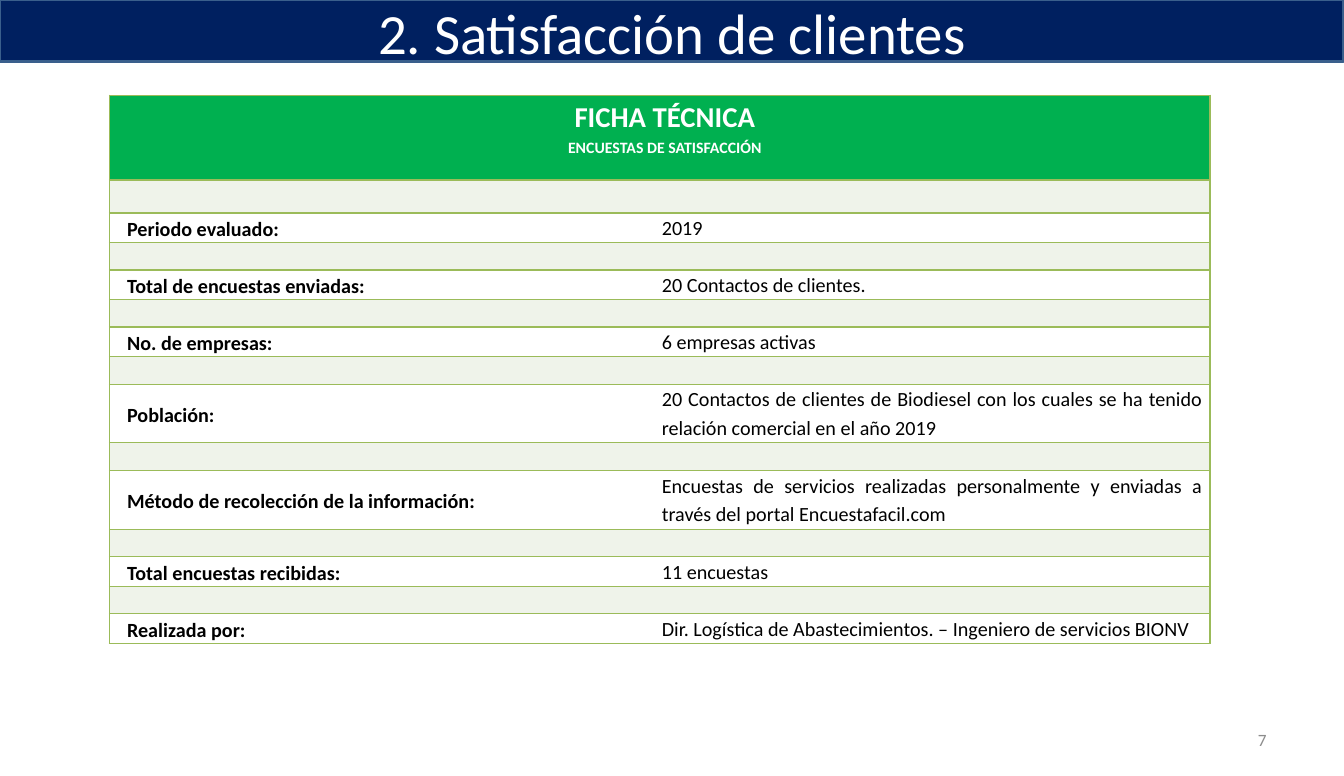
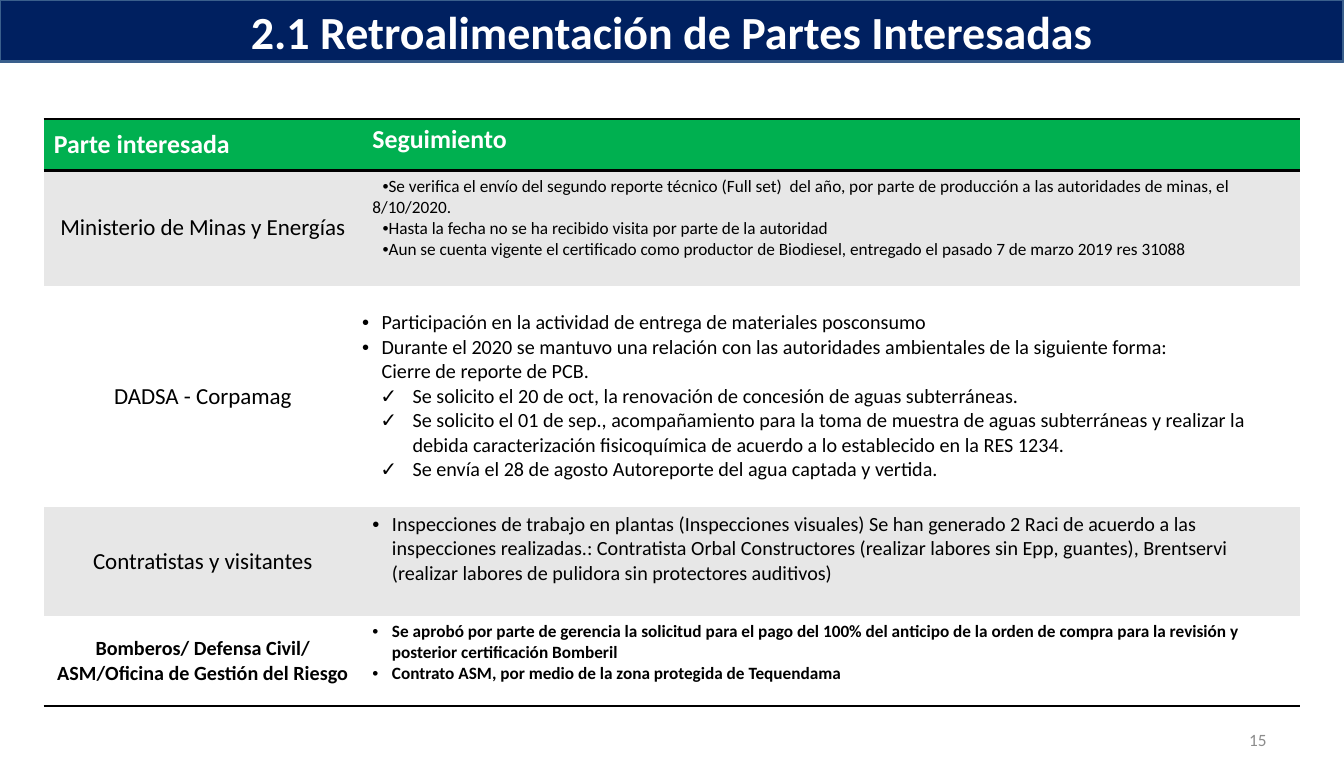
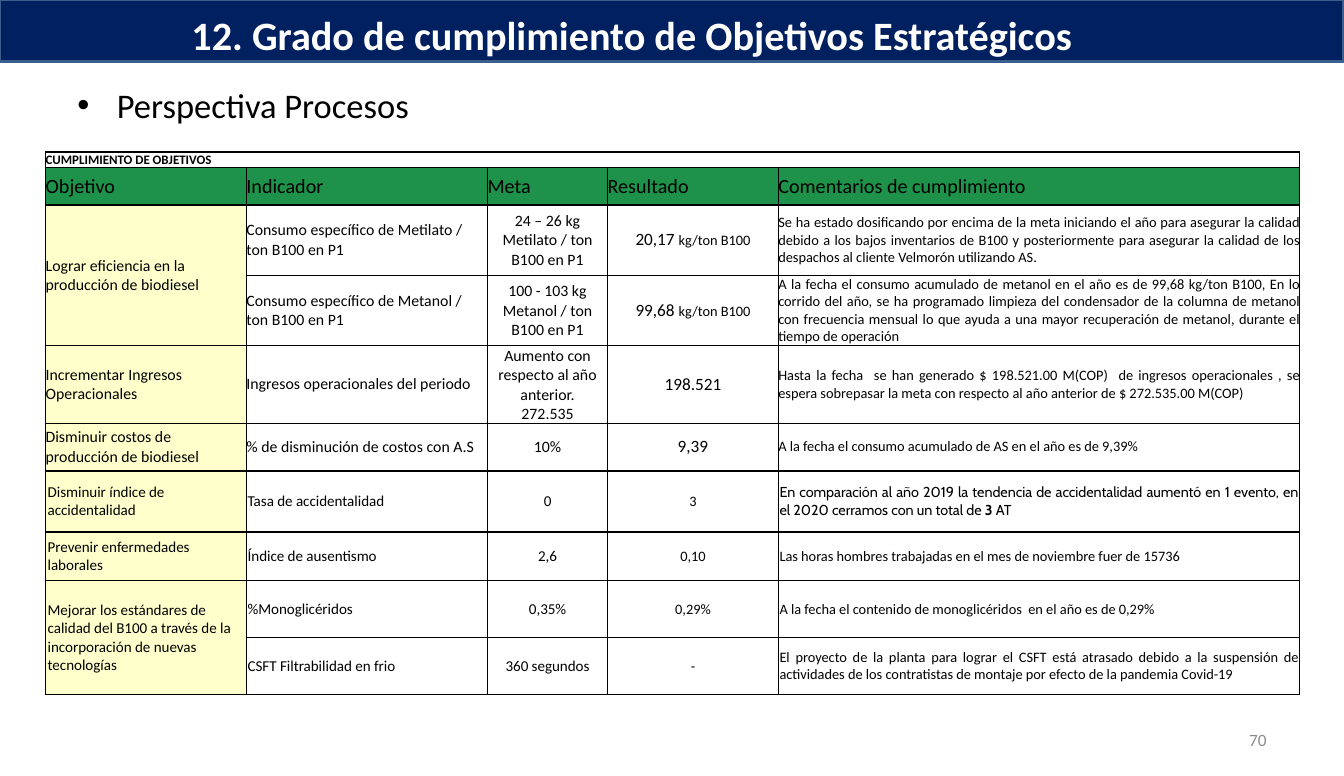
from lxml import etree
from pptx import Presentation
from pptx.dml.color import RGBColor
from pptx.enum.shapes import MSO_SHAPE
from pptx.enum.text import MSO_ANCHOR, MSO_AUTO_SIZE, PP_ALIGN
from pptx.oxml.ns import qn
from pptx.util import Cm, Pt

# Shared look
FONT = "Calibri"
NAVY, BAND_EDGE, GREEN, DARK_GREEN = "002060", "3A5F8C", "00B050", "1E924A"
OLIVE, PALE_GREEN, YELLOW, GRAY = "9BBB59", "EFF3EA", "FFFFCC", "E7E7E7"
WHITE, BLACK, PAGE_GRAY = "FFFFFF", "000000", "8C8C8C"
LEFT, CENTER, RIGHT, JUSTIFY = PP_ALIGN.LEFT, PP_ALIGN.CENTER, PP_ALIGN.RIGHT, PP_ALIGN.JUSTIFY
TOP, MIDDLE, BOTTOM = MSO_ANCHOR.TOP, MSO_ANCHOR.MIDDLE, MSO_ANCHOR.BOTTOM
NO_STYLE = "{2D5ABB26-0587-4C30-8999-92F81FD0307C}"
WIDTH, HEIGHT = 33, 19.05
TITLE_BOX = (1.68, 0, 29.64, 1.55)

# Slide content
SURVEY_FACTS = [  # label, value, lines
    ("Periodo evaluado:", "2019", 1),
    ("Total de encuestas enviadas:", "20 Contactos de clientes.", 1),
    ("No. de empresas:", "6 empresas activas", 1),
    ("Población:", "20 Contactos de clientes de Biodiesel con los cuales se ha tenido "
     "relación comercial en el año 2019", 2),
    ("Método de recolección de la información:", "Encuestas de servicios realizadas "
     "personalmente y enviadas a través del portal Encuestafacil.com", 2),
    ("Total encuestas recibidas:", "11 encuestas", 1),
    ("Realizada por:", "Dir. Logística de Abastecimientos. – Ingeniero de servicios BIONV", 1),
]

DOT = dict(bullet="•", left=0.48, indent=-0.48)
INLINE_DOT = dict(bullet="•", left=0, indent=0.25)
CHECK = dict(bullet="✓", left=1.24, indent=-0.79)
PARTIES = [  # name, name format, follow-up format, anchor, padding, items
    ("Ministerio de Minas y Energías", dict(size=16), dict(size=12), TOP, None, [
        ("Se verifica el envío del segundo reporte técnico (Full set)  del año, por parte de "
         "producción a las autoridades de minas, el 8/10/2020.", INLINE_DOT),
        ("Hasta la fecha no se ha recibido visita por parte de la autoridad", INLINE_DOT),
        ("Aun se cuenta vigente el certificado como productor de Biodiesel, entregado el "
         "pasado 7 de marzo 2019 res 31088", INLINE_DOT)]),
    ("DADSA - Corpamag", dict(size=16), dict(size=14), MIDDLE, 0, [
        ("Participación en la actividad de entrega de materiales posconsumo", DOT),
        ("Durante el 2020 se mantuvo una relación con las autoridades ambientales de la "
         "siguiente forma:\nCierre de reporte de PCB.", DOT),
        ("Se solicito el 20 de oct, la renovación de concesión de aguas subterráneas.", CHECK),
        ("Se solicito el 01 de sep., acompañamiento para la toma de muestra de aguas "
         "subterráneas y realizar la debida caracterización fisicoquímica de acuerdo a lo "
         "establecido en la RES 1234.", CHECK),
        ("Se envía el 28 de agosto Autoreporte del agua captada y vertida.", CHECK)]),
    ("Contratistas y visitantes", dict(size=16), dict(size=14), TOP, None, [
        ("Inspecciones de trabajo en plantas (Inspecciones visuales) Se han generado 2 Raci de "
         "acuerdo a las inspecciones realizadas.: Contratista Orbal Constructores (realizar "
         "labores sin Epp, guantes), Brentservi (realizar labores de pulidora sin protectores "
         "auditivos)", DOT)]),
    ("Bomberos/ Defensa Civil/ ASM/Oficina de Gestión del Riesgo",
     dict(size=14, bold=True), dict(size=12, bold=True), TOP, None, [
         ("Se aprobó por parte de gerencia la solicitud para el pago del 100% del anticipo de la "
          "orden de compra para la revisión y posterior certificación Bomberil", DOT),
         ("Contrato ASM, por medio de la zona protegida de Tequendama", DOT)]),
]

GOAL_HEADS = ["Objetivo", "Indicador", "Meta", "Resultado", "Comentarios de cumplimiento"]
UNIT = ("kg/ton B100", dict(size=10))
CABIN = dict(font="Cabin")
GOALS = [  # an empty objective continues the one above
    ("Lograr eficiencia en la producción de biodiesel",
     "Consumo específico de Metilato / ton B100 en P1", "24 – 26 kg Metilato / ton B100 en P1",
     [("20,17 ", {}), UNIT],
     "Se ha estado dosificando por encima de la meta iniciando el año para asegurar la calidad "
     "debido a los bajos inventarios de B100 y posteriormente para asegurar la calidad de los "
     "despachos al cliente Velmorón utilizando AS."),
    ("", "Consumo específico de Metanol / ton B100 en P1", "100 - 103 kg Metanol / ton B100 en P1",
     [("99,68 ", {}), UNIT],
     "A la fecha el consumo acumulado de metanol en el año es de 99,68 kg/ton B100, En lo "
     "corrido del año, se ha programado limpieza del condensador de la columna de metanol con "
     "frecuencia mensual lo que ayuda a una mayor recuperación de metanol, durante el tiempo "
     "de operación"),
    ("Incrementar Ingresos Operacionales", "Ingresos operacionales del periodo",
     "Aumento con respecto al año anterior.\n272.535", "198.521",
     "Hasta la fecha  se han generado $ 198.521.00 M(COP)  de ingresos operacionales , se "
     "espera sobrepasar la meta con respecto al año anterior de $ 272.535.00 M(COP)"),
    ("Disminuir costos de producción de biodiesel", "% de disminución de costos con A.S",
     "10%", "9,39", "A la fecha el consumo acumulado de AS en el año es de 9,39%"),
    ("Disminuir índice de accidentalidad", "Tasa de accidentalidad", "0", "3",
     [("En comparación al año 2019 la tendencia de accidentalidad aumentó en 1 evento, en el "
       "2020 cerramos con un total de ", CABIN),
      ("3", dict(CABIN, bold=True)), (" AT", CABIN)]),
    ("Prevenir enfermedades laborales", "Índice de ausentismo", "2,6", "0,10",
     "Las horas hombres trabajadas en el mes de noviembre fuer de 15736"),
    ("Mejorar los estándares de calidad del B100 a través de la incorporación de nuevas "
     "tecnologías", "%Monoglicéridos", "0,35%", "0,29%",
     "A la fecha el contenido de monoglicéridos  en el año es de 0,29%"),
    ("", "CSFT Filtrabilidad en frio", "360 segundos", "-",
     "El proyecto de la planta para lograr el CSFT está atrasado debido a la suspensión de "
     "actividades de los contratistas de montaje por efecto de la pandemia Covid-19"),
]


# Helpers
def rgb(value):
    return RGBColor.from_string(value)


def cms(*lengths):
    return [Cm(v) for v in lengths]


def add_child(parent, tag, **attrs):
    return etree.SubElement(parent, qn(tag), attrs)


def add_run(p, text, size, bold=False, color=BLACK, font=FONT):
    for i, part in enumerate(text.split("\n")):
        if i:
            p.add_line_break()
        r = p.add_run()
        r.text = part
        r.font.size, r.font.bold, r.font.name = Pt(size), bold, font
        r.font.color.rgb = rgb(color)


def add_para(tf, text, align=LEFT, bullet=None, left=0, indent=0, spacing=None, **fmt):
    """Add a paragraph; text is a string or a list of (text, format) runs."""
    p = tf.paragraphs[0]
    if p.runs:
        p = tf.add_paragraph()
    p.alignment = align
    pPr = p._p.get_or_add_pPr()
    pPr.set("marL", str(Cm(left)))
    pPr.set("indent", str(Cm(indent)))
    if bullet:
        add_child(pPr, "a:buFont", typeface="Arial")
        add_child(pPr, "a:buChar", char=bullet)
    if spacing:
        p.line_spacing = spacing
    for part, own in [(text, {})] if isinstance(text, str) else text:
        add_run(p, part, **{**fmt, **own})


def add_box(s, box, text, anchor=TOP, **fmt):
    tf = s.shapes.add_textbox(*cms(*box)).text_frame
    tf.word_wrap, tf.vertical_anchor = True, anchor
    add_para(tf, text, **fmt)


def add_table(s, left, top, cols, rows):
    shape = s.shapes.add_table(len(rows), len(cols), *cms(left, top, sum(cols), sum(rows)))
    table = shape.table
    table.first_row = table.horz_banding = False
    table._tbl.tblPr.find(qn("a:tableStyleId")).text = NO_STYLE
    for col, width in zip(table.columns, cols):
        col.width = Cm(width)
    for row, height in zip(table.rows, rows):
        row.height = Cm(height)
    return table


def style_cell(cell, fill=None, anchor=TOP, pad=None, sides="", line=BLACK, weight=1):
    """Format a cell; pad is (horizontal, vertical), sides are letters of LRTB in that order."""
    cell.vertical_anchor = anchor
    if pad is not None:
        cell.margin_left = cell.margin_right = Cm(pad[0])
        cell.margin_top = cell.margin_bottom = Cm(pad[1])
    if fill:
        cell.fill.solid()
        cell.fill.fore_color.rgb = rgb(fill)
    else:
        cell.fill.background()
    tcPr = cell._tc.get_or_add_tcPr()
    for i, side in enumerate(sides):
        ln = add_child(tcPr, f"a:ln{side}", w=str(Pt(weight)))
        add_child(add_child(ln, "a:solidFill"), "a:srgbClr", val=line)
        tcPr.insert(i, ln)
    return cell.text_frame


def add_slide(prs, title, page, size, bold=True, box=TITLE_BOX):
    """Title-only slide with the navy band and the page number."""
    s = prs.slides.add_slide(prs.slide_layouts[5])
    band = s.shapes.add_shape(MSO_SHAPE.RECTANGLE, *cms(0, 0, WIDTH, 1.52))
    band.shadow.inherit = False
    band.fill.solid()
    band.fill.fore_color.rgb = rgb(NAVY)
    band.line.color.rgb, band.line.width = rgb(BAND_EDGE), Pt(2)
    s.shapes._spTree.insert(2, band._element)  # behind the title

    sp = s.shapes.title
    sp.left, sp.top, sp.width, sp.height = cms(*box)
    tf = sp.text_frame
    tf.auto_size, tf.vertical_anchor = MSO_AUTO_SIZE.NONE, MIDDLE
    add_para(tf, title, align=CENTER, size=size, bold=bold, color=WHITE)

    add_box(s, (23.65, 17.65, 7.7, 1.02), str(page), anchor=MIDDLE,
            align=RIGHT, size=12, color=PAGE_GRAY)
    return s


# Tables
def survey_table(s, left, top):
    rows = [2.08]
    for i, (_, _, lines) in enumerate(SURVEY_FACTS):
        rows += [0.68 if i else 0.81, round(0.72 * lines, 2)]
    table = add_table(s, left, top, [13.13, 13.89], rows)
    look = dict(pad=(0.18, 0), line=OLIVE)
    body = dict(left=0.25, spacing=1.15)

    head = table.cell(0, 0)
    head.merge(table.cell(0, 1))
    style_cell(table.cell(0, 1), GREEN, sides="RTB", **look)
    tf = style_cell(head, GREEN, sides="LRTB", **look)
    add_para(tf, [("FICHA TÉCNICA\n", dict(size=20)),
                  ("ENCUESTAS DE SATISFACCIÓN", dict(size=11))],
             align=CENTER, bold=True, color=WHITE, **body)

    for i, (label, value, _) in enumerate(SURVEY_FACTS):
        gap, fact = 2 * i + 1, 2 * i + 2
        for col, sides in enumerate(("LTB", "RTB")):
            tf = style_cell(table.cell(gap, col), PALE_GREEN, sides=sides, **look)
            tf.paragraphs[0]._p.get_or_add_endParaRPr().set("sz", "1200")
        tf = style_cell(table.cell(fact, 0), WHITE, MIDDLE, sides="LTB", **look)
        add_para(tf, label, size=14, bold=True, **body)
        tf = style_cell(table.cell(fact, 1), WHITE, sides="RTB", **look)
        add_para(tf, value, size=14, align=JUSTIFY, **body)


def parties_table(s, left, top):
    table = add_table(s, left, top, [7.82, 23.04], [1.27, 2.82, 5.44, 2.67, 2.21])
    heads = [("Parte interesada", MIDDLE), ("Seguimiento", TOP)]
    for col, (text, anchor) in enumerate(heads):
        tf = style_cell(table.cell(0, col), GREEN, anchor, sides="TB", weight=2)
        add_para(tf, text, size=18, bold=True, color=WHITE)

    for row, (name, name_fmt, fmt, anchor, pad, items) in enumerate(PARTIES, 1):
        look = dict(fill=GRAY if row % 2 else WHITE, weight=2,
                    sides="B" if row == len(PARTIES) else "")
        tf = style_cell(table.cell(row, 0), anchor=MIDDLE, **look)
        add_para(tf, name, align=CENTER, **name_fmt)
        tf = style_cell(table.cell(row, 1), anchor=anchor,
                        pad=None if pad is None else (pad, pad), **look)
        for text, bullet in items:
            add_para(tf, text, **bullet, **fmt)


def goals_table(s, left, top):
    table = add_table(s, left, top, [4.93, 5.92, 2.95, 4.19, 12.8],
                      [0.39, 0.91, 1.73, 1.73, 1.9, 1.17, 1.5, 1.2, 1.4, 1.4])
    look = dict(pad=(0, 0), sides="LRTB")

    # Caption and column heads
    table.cell(0, 0).merge(table.cell(0, 4))
    for col, text in enumerate(GOAL_HEADS):
        tf = style_cell(table.cell(0, col), anchor=BOTTOM, **look)
        if col == 0:
            add_para(tf, "CUMPLIMIENTO DE OBJETIVOS", size=9, bold=True)
        add_para(style_cell(table.cell(1, col), DARK_GREEN, MIDDLE, **look), text, size=14)

    # Goals: the first four rows have larger text, the others a thin side margin
    aligns = (LEFT, LEFT, CENTER, CENTER, JUSTIFY)
    for i, goal in enumerate(GOALS):
        row = i + 2
        sizes = (11, 11, 11, 12, 10) if i < 4 else (10.5, 10.5, 10.5, 10, 10)
        for col, (text, align, size) in enumerate(zip(goal, aligns, sizes)):
            # The objectives keep a wider margin so that they stay clear of the next column
            side = 0 if i < 4 else 0.03 if col else 0.05
            tf = style_cell(table.cell(row, col), None if col else YELLOW, MIDDLE,
                            **{**look, "pad": (side, 0)})
            if not text:
                table.cell(row - 1, col).merge(table.cell(row, col))
                continue
            for part in text.split("\n") if isinstance(text, str) else [text]:
                add_para(tf, part, align=align, size=size)


def main():
    prs = Presentation()
    prs.slide_width, prs.slide_height = cms(WIDTH, HEIGHT)

    s = add_slide(prs, "2. Satisfacción de clientes", 7, size=39.6, bold=False)
    survey_table(s, 2.69, 2.34)

    s = add_slide(prs, "2.1 Retroalimentación de Partes Interesadas", 15, size=32)
    parties_table(s, 1.07, 2.92)

    s = add_slide(prs, "12. Grado de cumplimiento de Objetivos Estratégicos", 70, size=28,
                  box=(4.32, 0.13, 22.38, 1.45))
    add_box(s, (1.65, 1.93, 29.69, 1.4), "Perspectiva Procesos", size=24,
            bullet="•", left=0.97, indent=-0.97)
    goals_table(s, 1.12, 3.73)

    prs.save("out.pptx")


if __name__ == "__main__":
    main()
